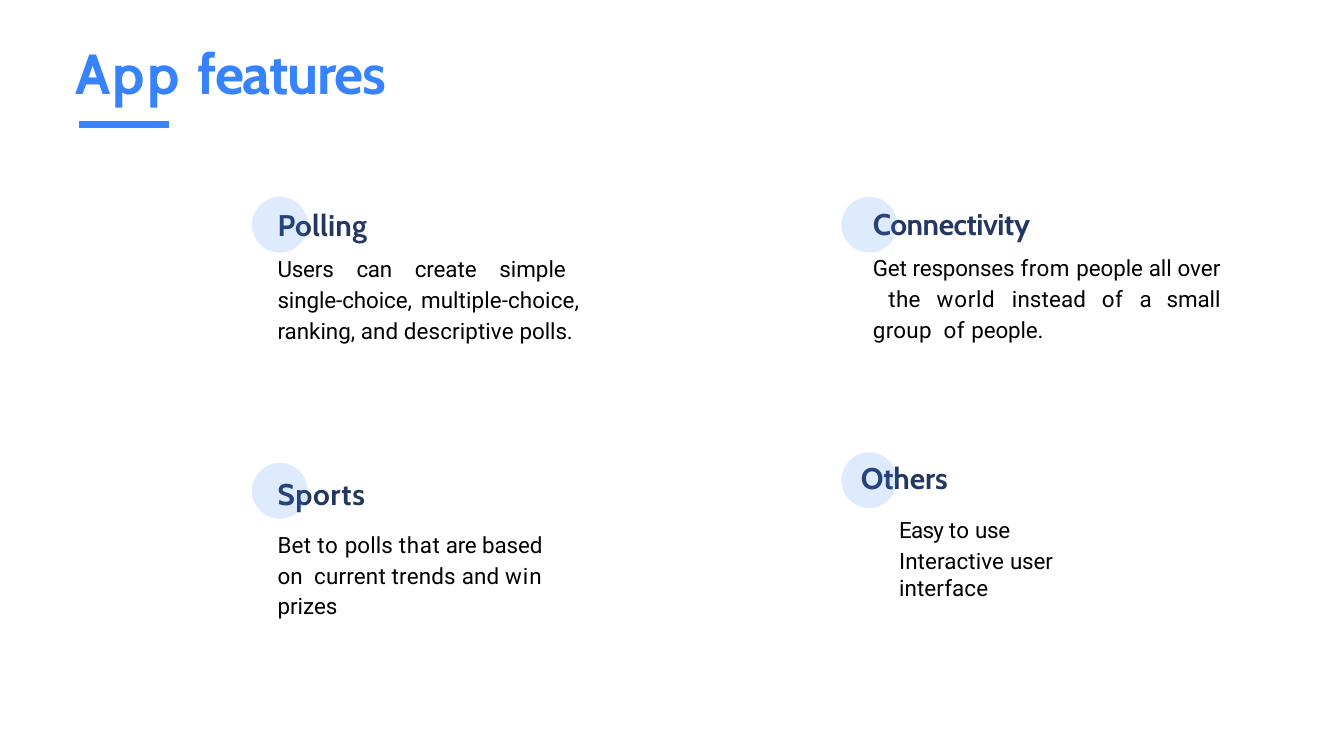
"""Build the "App features" slide: a title and four marked feature blocks."""
from typing import NamedTuple

import lxml.etree
import pptx
import pptx.dml.color
import pptx.enum.shapes
import pptx.enum.text
import pptx.oxml.ns
import pptx.util

WIDTH, HEIGHT = 20, 11.25
COLORS = {"accent": "3783FD", "heading": "243761", "body": "000000"}
LEFT, JUSTIFY = pptx.enum.text.PP_ALIGN.LEFT, pptx.enum.text.PP_ALIGN.JUSTIFY
COLUMNS = (18.75, 62.6)
CIRCLE = 0.83
TINT = 0.16


class Span(NamedTuple):
    text: str
    tracking: float = 0


class Style(NamedTuple):
    font: str
    size: float
    color: str
    bold: bool


class Block(NamedTuple):
    spans: list[Span]
    style: Style
    before: float = 0
    line: float | None = None
    indent: float = 0
    align: pptx.enum.text.PP_ALIGN = LEFT


class Area(NamedTuple):
    """A rectangle in percent of the slide's width and height."""
    left: float
    top: float
    width: float
    height: float


class Feature(NamedTuple):
    area: Area
    inset: float
    column: int
    circle_top: float
    blocks: list[Block]


TITLE = Style("Cabin", 60.5, "accent", True)
HEADING = Style("Cabin", 32, "heading", True)
BODY = Style("Roboto", 24, "body", False)

FEATURES = [
    Feature(Area(64.9, 24.8, 25.9, 20.62), 0.27, 1, 26.04, [
        Block([Span("Connectivity", -0.5)], HEADING),
        Block([Span("Get responses ", -0.2), Span("from ", 0.5), Span("people all ", -0.1),
               Span("over  "), Span("the ", 0.3), Span("world ", 0.8), Span("instead ", 0.1),
               Span("of ", 0.6), Span("a ", -0.7), Span("small ", -0.1), Span("group  ", 0.3),
               Span("of ", 0.6), Span("people.", -0.2)], BODY, 9.6, 1.15, align=JUSTIFY)]),
    Feature(Area(20.6, 24.89, 23.2, 20.62), 0.27, 0, 26.04, [
        Block([Span("Polling", 0.2)], HEADING),
        Block([Span("Users ", -0.2), Span("can ", -0.3), Span("create ", -0.1), Span("simple  "),
               Span("single-choice, ", -0.1), Span("multiple-choice,  ", 0.1), Span("ranking, "),
               Span("and descriptive ", 0.1), Span("polls.", -0.1)],
              BODY, 9.6, 1.15, align=JUSTIFY)]),
    Feature(Area(20.6, 62.84, 21.95, 15.11), 0.01, 0, 61.24, [
        Block([Span("Sports", 0.7)], HEADING),
        Block([Span("Bet ", 0.3), Span("to ", 0.7), Span("polls ", 0.1), Span("that", 0.7),
               Span(" are ", -0.3), Span("based ", -0.1), Span("on  ", 0.1),
               Span("current trends ", 0.2), Span("and ", 0.1), Span("win ", 1.1),
               Span("prizes")], BODY, 16.2, 1.15)]),
    Feature(Area(64, 60.71, 21.3, 15.38), 0.01, 1, 59.82, [
        Block([Span("Others", -0.1)], HEADING),
        Block([Span("Easy ", -0.8), Span("to", 0.7), Span(" use", -0.4)], BODY, 22.1, indent=0.57),
        Block([Span("Interactive ", 0.1), Span("user ", -0.1), Span("interface", 0.1)],
              BODY, 4.2, indent=0.57)]),
]


def across(percent: float) -> pptx.util.Length:
    return pptx.util.Inches(WIDTH * percent / 100)


def down(percent: float) -> pptx.util.Length:
    return pptx.util.Inches(HEIGHT * percent / 100)


def rgb(name: str) -> pptx.dml.color.RGBColor:
    return pptx.dml.color.RGBColor.from_string(COLORS[name])


def write_block(para, block: Block) -> None:
    for span in block.spans:
        run = para.add_run()
        run.text = span.text
        if span.tracking:
            run._r.get_or_add_rPr().set("spc", str(round(span.tracking * 100)))
    para.alignment = block.align
    if block.before:
        para.space_before = pptx.util.Pt(block.before)
    if block.line:
        para.line_spacing = block.line
    if block.indent:
        para._p.get_or_add_pPr().set("marL", str(pptx.util.Inches(block.indent)))
    para.font.name = block.style.font
    para.font.size = pptx.util.Pt(block.style.size)
    para.font.bold = block.style.bold
    para.font.color.rgb = rgb(block.style.color)


def add_text(page, area: Area, inset: float, blocks: list[Block]) -> None:
    box = page.shapes.add_textbox(across(area.left), down(area.top),
                                  across(area.width), down(area.height))
    frame = box.text_frame
    frame.word_wrap = True
    frame.auto_size = pptx.enum.text.MSO_AUTO_SIZE.SHAPE_TO_FIT_TEXT
    frame.margin_left = pptx.util.Inches(0.01)
    frame.margin_right = frame.margin_bottom = 0
    frame.margin_top = pptx.util.Inches(inset)
    for index, block in enumerate(blocks):
        write_block(frame.add_paragraph() if index else frame.paragraphs[0], block)


def add_circle(page, column: int, top: float) -> None:
    size = pptx.util.Inches(CIRCLE)
    circle = page.shapes.add_shape(pptx.enum.shapes.MSO_SHAPE.OVAL,
                                   across(COLUMNS[column]), down(top), size, size)
    circle.shadow.inherit = False
    circle.line.fill.background()
    circle.fill.solid()
    circle.fill.fore_color.rgb = rgb("accent")
    color = circle._element.spPr.find(".//" + pptx.oxml.ns.qn("a:srgbClr"))
    alpha = lxml.etree.SubElement(color, pptx.oxml.ns.qn("a:alpha"))
    alpha.set("val", str(round(TINT * 100000)))


def add_underline(page, left: float, right: float, top: float) -> None:
    line = page.shapes.add_connector(pptx.enum.shapes.MSO_CONNECTOR.STRAIGHT,
                                     across(left), down(top), across(right), down(top))
    line.line.color.rgb = rgb("accent")
    line.line.width = pptx.util.Pt(7.5)
    lxml.etree.SubElement(line._element.spPr, pptx.oxml.ns.qn("a:effectLst"))


def main() -> None:
    deck = pptx.Presentation()
    deck.slide_width, deck.slide_height = across(100), down(100)
    page = deck.slides.add_slide(deck.slide_layouts[6])
    add_underline(page, 5.9, 12.6, 16.53)
    add_text(page, Area(5.55, 4.8, 24.9, 9.24), 0.02,
             [Block([Span("App ", 2.6), Span("features", -1.4)], TITLE)])
    for feature in FEATURES:
        add_text(page, feature.area, feature.inset, feature.blocks)
        add_circle(page, feature.column, feature.circle_top)
    deck.save("out.pptx")


if __name__ == "__main__":
    main()
